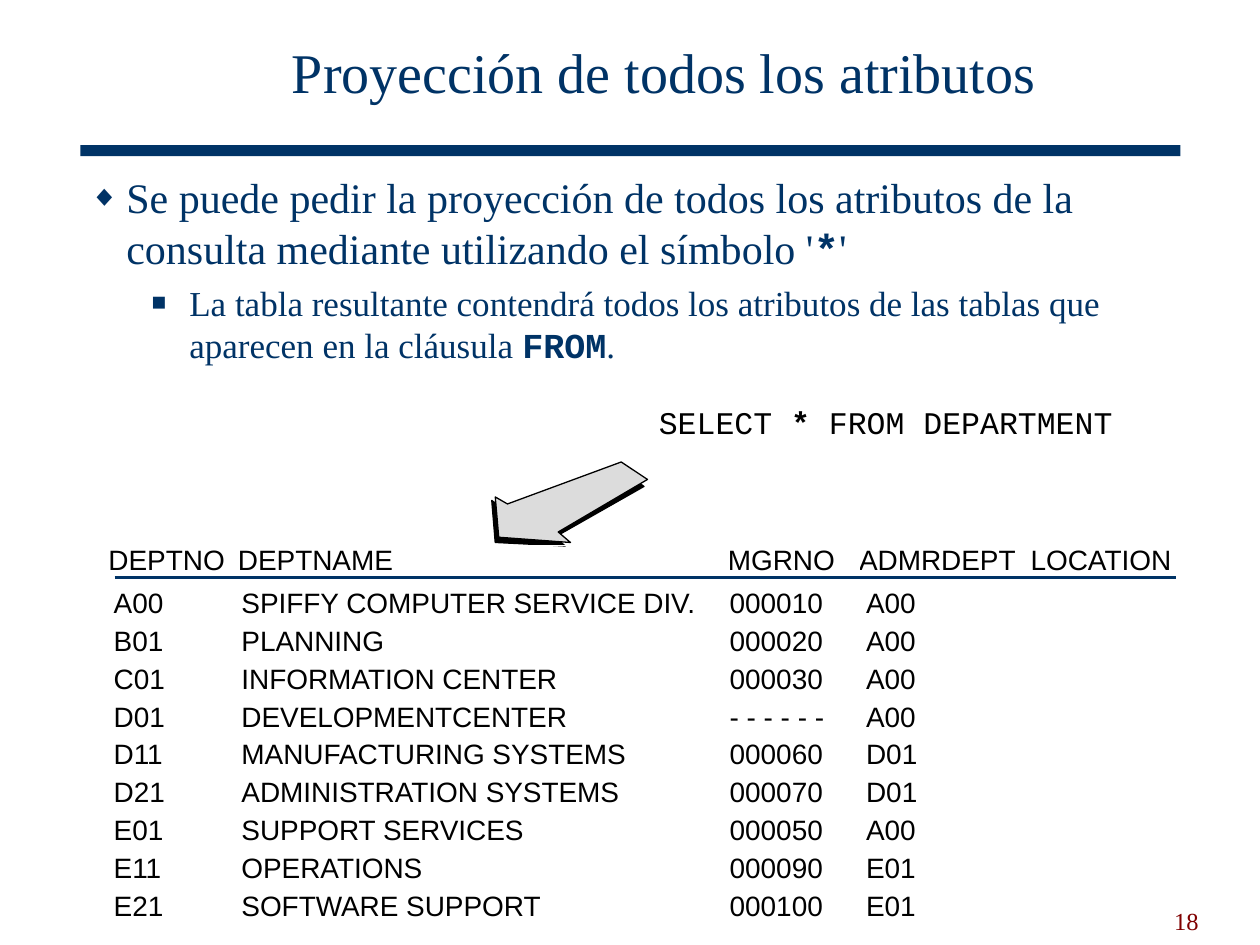
from dataclasses import dataclass

from lxml.etree import SubElement
from pptx import Presentation
from pptx.dml.color import RGBColor
from pptx.enum.shapes import MSO_CONNECTOR, MSO_SHAPE
from pptx.enum.text import MSO_ANCHOR, MSO_AUTO_SIZE, PP_ALIGN
from pptx.oxml.ns import qn
from pptx.util import Pt

NAVY, BLACK, GRAY, MAROON = "003366", "000000", "DCDCDC", "800000"
SERIF, SANS, MONO = "Times New Roman", "Arial", "Courier New"


@dataclass
class TextRun:
    text: str
    size: float
    font: str = SERIF
    color: str = NAVY
    bold: bool = False


@dataclass
class Bullet:
    symbol: str
    level: int
    margin: float
    indent: float
    space_before: float
    runs: list[TextRun]


@dataclass
class Column:
    header: str
    width: float
    inset: float
    values: list[str]


BULLETS = [
    Bullet("◆", 0, 21, -21, 0, [
        TextRun("Se puede pedir la proyección de todos los atributos de la "
                "consulta mediante utilizando el símbolo '", 24),
        TextRun("*", 24, MONO, bold=True),
        TextRun("'", 24),
    ]),
    Bullet("■", 1, 57, -21.5, 5, [
        TextRun("La tabla resultante contendrá todos los atributos de las "
                "tablas que aparecen en la cláusula ", 20),
        TextRun("FROM", 20, MONO, bold=True),
        TextRun(".", 20),
    ]),
]

COLUMNS = [
    Column("DEPTNO", 74, 3, ["A00", "B01", "C01", "D01", "D11", "D21", "E01", "E11", "E21"]),
    Column("DEPTNAME", 280, 2, [
        "SPIFFY COMPUTER SERVICE DIV.", "PLANNING", "INFORMATION CENTER",
        "DEVELOPMENTCENTER", "MANUFACTURING SYSTEMS", "ADMINISTRATION SYSTEMS",
        "SUPPORT SERVICES", "OPERATIONS", "SOFTWARE SUPPORT"]),
    Column("MGRNO", 75, 1, ["000010", "000020", "000030", "- - - - - -", "000060",
                            "000070", "000050", "000090", "000100"]),
    Column("ADMRDEPT", 98, 4, ["A00", "A00", "A00", "A00", "D01", "D01", "A00", "E01", "E01"]),
    Column("LOCATION", 83, 0, [""] * 9),
]
HEADER_HEIGHT, ROW_HEIGHT = 24.5, 17.7

ARROW = [(370, 274.5), (355, 264), (290, 288), (283, 283.5),
         (285, 307), (325.5, 309.5), (319, 304)]


def rgb(color: str) -> RGBColor:
    return RGBColor.from_string(color)


def add_runs(paragraph, runs: list[TextRun]) -> None:
    for item in runs:
        run = paragraph.add_run()
        run.text = item.text
        run.font.size = Pt(item.size)
        run.font.name = item.font
        run.font.bold = item.bold
        run.font.color.rgb = rgb(item.color)


def place(shape, left: float, top: float, width: float, height: float) -> None:
    shape.left, shape.top = Pt(left), Pt(top)
    shape.width, shape.height = Pt(width), Pt(height)


def add_bullet(paragraph, bullet: Bullet) -> None:
    paragraph.level = bullet.level
    properties = paragraph._p.get_or_add_pPr()
    properties.set("marL", str(Pt(bullet.margin)))
    properties.set("indent", str(Pt(bullet.indent)))
    bullet_color = SubElement(properties, qn("a:buClr"))
    SubElement(bullet_color, qn("a:srgbClr")).set("val", NAVY)
    SubElement(properties, qn("a:buSzPct")).set("val", "70000")
    SubElement(properties, qn("a:buChar")).set("char", bullet.symbol)
    paragraph.space_before = Pt(bullet.space_before)
    add_runs(paragraph, bullet.runs)


def fill_cell(cell, text: str, inset: float) -> None:
    cell.fill.background()
    cell.margin_left = Pt(inset)
    cell.margin_right = cell.margin_top = cell.margin_bottom = 0
    paragraph = cell.text_frame.paragraphs[0]
    paragraph.line_spacing = Pt(ROW_HEIGHT)
    if text:
        add_runs(paragraph, [TextRun(text, 16, SANS, BLACK)])


def add_department_table(slide, left: float, top: float) -> None:
    row_count = len(COLUMNS[0].values) + 1
    width = sum(column.width for column in COLUMNS)
    height = HEADER_HEIGHT + ROW_HEIGHT * (row_count - 1)
    table = slide.shapes.add_table(row_count, len(COLUMNS), Pt(left), Pt(top),
                                   Pt(width), Pt(height)).table
    table.first_row = table.horz_banding = False
    for index, row in enumerate(table.rows):
        row.height = Pt(ROW_HEIGHT if index else HEADER_HEIGHT)
    for column_index, column in enumerate(COLUMNS):
        table.columns[column_index].width = Pt(column.width)
        fill_cell(table.cell(0, column_index), column.header, 0)
        for row_index, value in enumerate(column.values, start=1):
            fill_cell(table.cell(row_index, column_index), value, column.inset)


def add_arrow(group, color: str, shift_x: float, shift_y: float) -> None:
    points = [(x + shift_x, y + shift_y) for x, y in ARROW]
    builder = group.shapes.build_freeform(*points[0], scale=Pt(1))
    builder.add_line_segments(points[1:], close=True)
    shape = builder.convert_to_shape()
    shape.shadow.inherit = False
    shape.fill.solid()
    shape.fill.fore_color.rgb = rgb(color)
    shape.line.color.rgb = rgb(BLACK)
    shape.line.width = Pt(0.75)


def main() -> None:
    presentation = Presentation()
    presentation.slide_width, presentation.slide_height = Pt(720), Pt(540)
    slide = presentation.slides.add_slide(presentation.slide_layouts[1])

    # Bar under the title
    bar = slide.shapes.add_shape(MSO_SHAPE.RECTANGLE, Pt(46), Pt(83), Pt(628.5), Pt(6.25))
    bar.shadow.inherit = False
    bar.fill.solid()
    bar.fill.fore_color.rgb = rgb(NAVY)
    bar.line.fill.background()

    # Title
    title = slide.shapes.title
    place(title, 88.5, 10, 582, 67.5)
    title.text_frame.auto_size = MSO_AUTO_SIZE.NONE
    title.text_frame.vertical_anchor = MSO_ANCHOR.MIDDLE
    heading = title.text_frame.paragraphs[0]
    heading.alignment = PP_ALIGN.CENTER
    heading.line_spacing = 0.85
    add_runs(heading, [TextRun("Proyección de todos los atributos", 32)])

    # Bulleted list
    body = slide.placeholders[1]
    place(body, 44, 94.5, 626.5, 386)
    frame = body.text_frame
    frame.auto_size = MSO_AUTO_SIZE.NONE
    for index, bullet in enumerate(BULLETS):
        add_bullet(frame.add_paragraph() if index else frame.paragraphs[0], bullet)

    # Query
    query = slide.shapes.add_textbox(Pt(376.5), Pt(230.5), Pt(260), Pt(21.5)).text_frame
    query.margin_left = query.margin_right = query.margin_top = query.margin_bottom = 0
    query.word_wrap = False
    add_runs(query.paragraphs[0], [
        TextRun("SELECT ", 18, MONO, BLACK),
        TextRun("*", 18, MONO, BLACK, bold=True),
        TextRun(" FROM DEPARTMENT", 18, MONO, BLACK),
    ])

    # Arrow from the query to its result, over its shadow
    group = slide.shapes.add_group_shape()
    add_arrow(group, BLACK, -2.25, 3)
    add_arrow(group, GRAY, 0, 0)

    # Result table and the rule under its header
    add_department_table(slide, 62, 311.75)
    rule = slide.shapes.add_connector(MSO_CONNECTOR.STRAIGHT, Pt(65.5), Pt(330), Pt(672), Pt(330))
    rule.line.color.rgb = rgb(NAVY)
    rule.line.width = Pt(2.25)
    SubElement(rule._element.spPr, qn("a:effectLst"))

    # Slide number
    number = slide.shapes.add_textbox(Pt(519), Pt(502), Pt(173), Pt(36)).text_frame
    number.word_wrap = True
    number.vertical_anchor = MSO_ANCHOR.BOTTOM
    number.paragraphs[0].alignment = PP_ALIGN.RIGHT
    add_runs(number.paragraphs[0], [TextRun("18", 14, SERIF, MAROON)])

    presentation.save("out.pptx")


if __name__ == "__main__":
    main()
